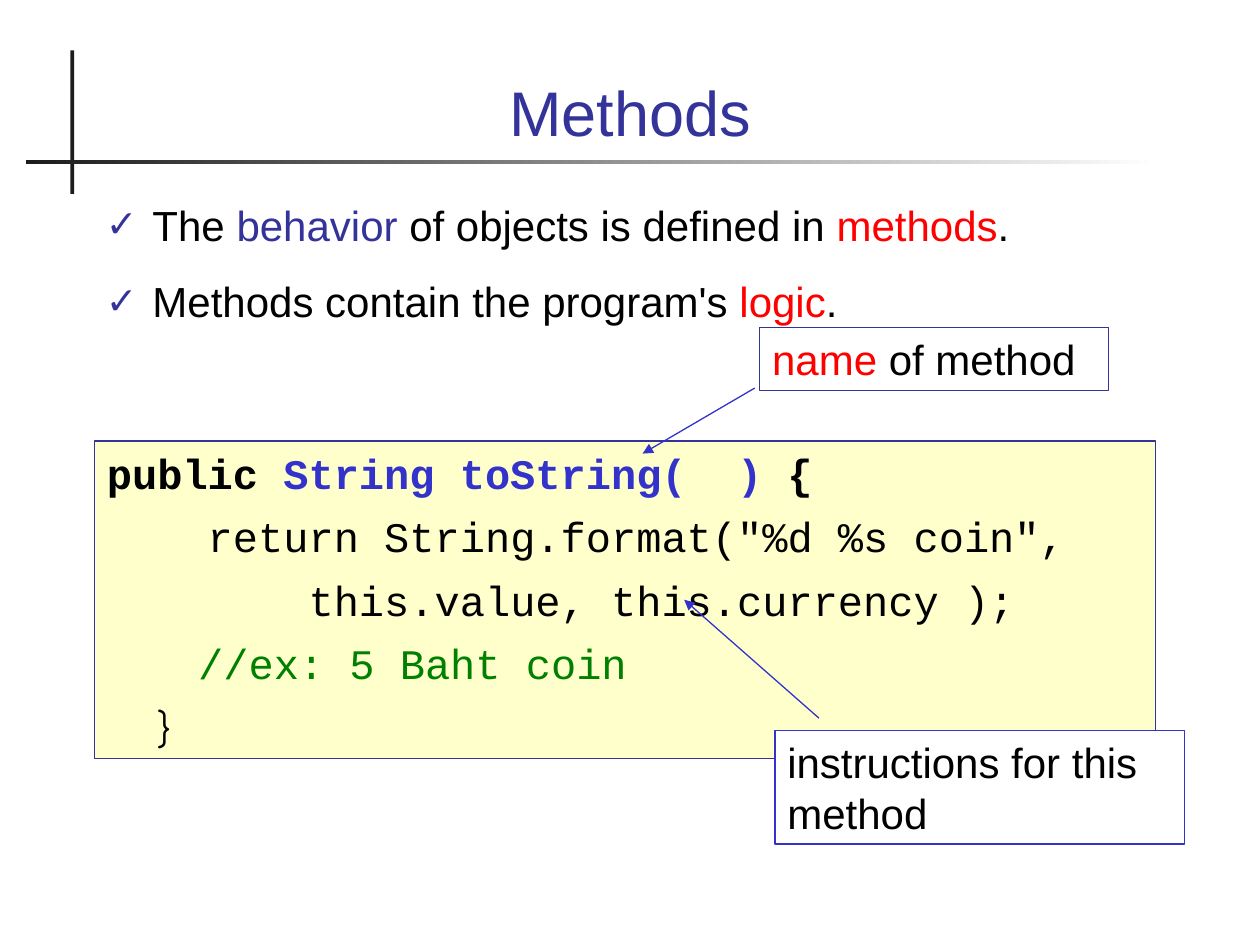
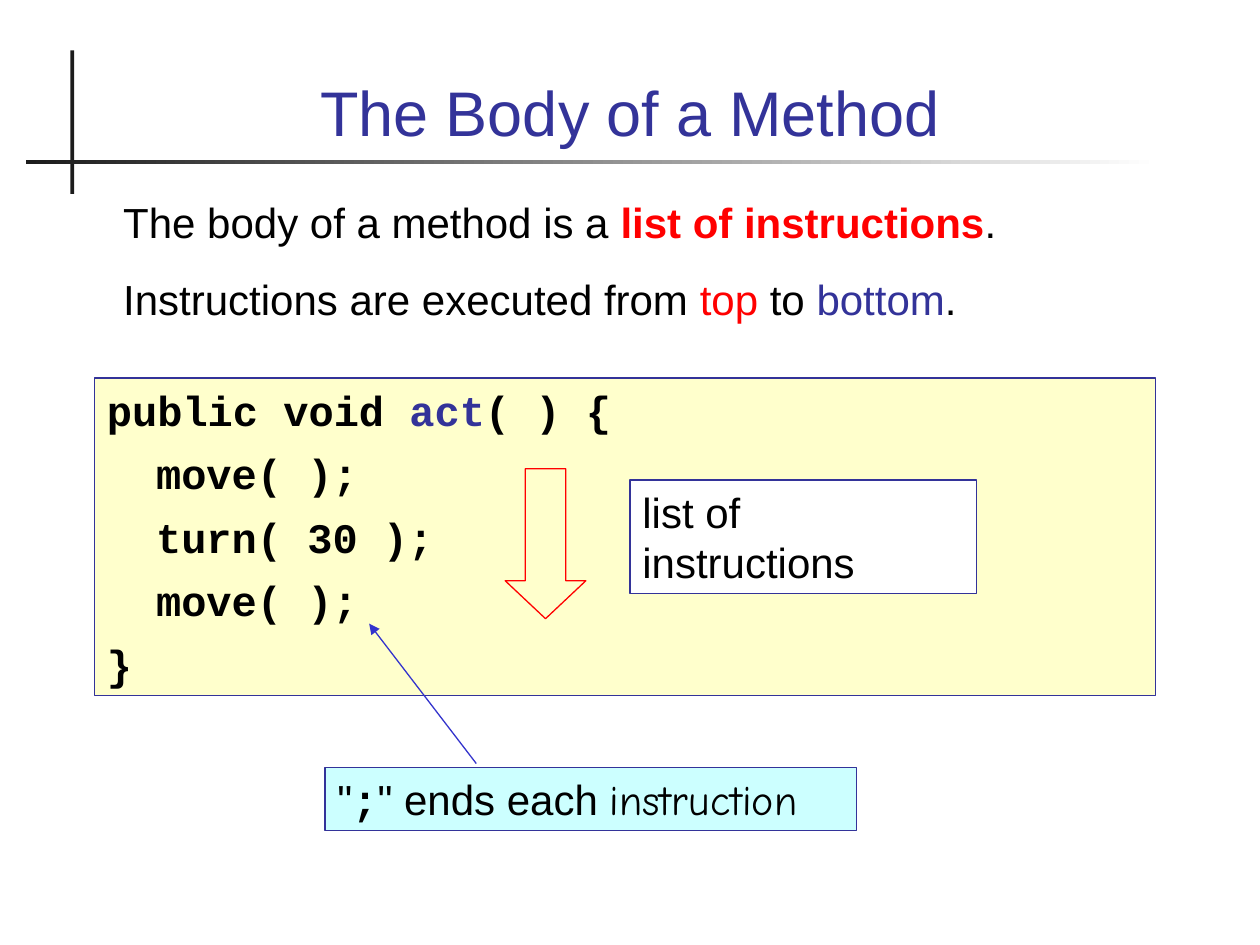
from dataclasses import dataclass
from functools import partial
from typing import Optional

from lxml import etree
from pptx import Presentation
from pptx import util as u
from pptx.dml.color import RGBColor
from pptx.enum import shapes, text
from pptx.oxml.ns import qn

NAVY = RGBColor(0x33, 0x33, 0x99)
BLUE = RGBColor(0x33, 0x33, 0xCC)
RED = RGBColor(0xFF, 0x00, 0x00)
GREEN = RGBColor(0x00, 0x80, 0x00)
BLACK = RGBColor(0x00, 0x00, 0x00)
CHARCOAL = RGBColor(0x1C, 0x1C, 0x1C)
WHITE = RGBColor(0xFF, 0xFF, 0xFF)
CREAM = RGBColor(0xFF, 0xFF, 0xCC)
AQUA = RGBColor(0xCC, 0xFF, 0xFF)

SANS, MONO, COMIC = "Arial", "Courier New", "Comic Neue"
TEXT_SIZE, LINE_HEIGHT, TITLE_SIZE = 24, 28.8, 36
CODE_GAP, PROSE_GAP = 7.5, 15
TAB_STEP, BULLET_INDENT = 0.39, 0.37


@dataclass(frozen=True)
class Run:
    text: str
    color: RGBColor = BLACK
    font: str = SANS
    bold: bool = False


Code = partial(Run, font=MONO)
Bold = partial(Run, font=MONO, bold=True)
Lines = list[list[Run]]


@dataclass(frozen=True)
class Box:
    at: tuple[float, float, float, float]
    lines: Lines
    fill: Optional[RGBColor] = WHITE
    border: Optional[RGBColor] = NAVY
    gap: float = PROSE_GAP


@dataclass(frozen=True)
class Pointer:
    start: tuple[float, float]
    end: tuple[float, float]


def inches(*values: float) -> list[u.Length]:
    return [u.Inches(value) for value in values]


def add_child(parent, tag: str, **attributes):
    return etree.SubElement(parent, qn(tag), attributes)


def place(shape, at: tuple[float, float, float, float]) -> None:
    for side, value in zip(("left", "top", "width", "height"), inches(*at)):
        setattr(shape, side, value)


def write_run(paragraph, run: Run, size: float) -> None:
    part = paragraph.add_run()
    part.text = run.text
    for name, value in {"name": run.font, "size": u.Pt(size), "bold": run.bold}.items():
        setattr(part.font, name, value)
    part.font.color.rgb = run.color


def add_check_mark(paragraph) -> None:
    properties = paragraph._p.get_or_add_pPr()
    indent = u.Inches(BULLET_INDENT)
    properties.set("marL", str(indent))
    properties.set("indent", str(-indent))
    add_child(add_child(properties, "a:buClr"), "a:srgbClr", val=str(NAVY))
    add_child(properties, "a:buSzPct", val="90000")
    add_child(properties, "a:buChar", char="✓")


def add_first_tab(paragraph) -> None:
    tabs = add_child(paragraph._p.get_or_add_pPr(), "a:tabLst")
    add_child(tabs, "a:tab", pos=str(u.Inches(TAB_STEP)), algn="l")


def write_lines(frame, lines: Lines, gap: float, checked: bool = False) -> None:
    settings = {"word_wrap": True, "auto_size": text.MSO_AUTO_SIZE.NONE,
                "vertical_anchor": text.MSO_ANCHOR.TOP}
    for name, value in settings.items():
        setattr(frame, name, value)
    for index, line in enumerate(lines):
        paragraph = frame.add_paragraph() if index else frame.paragraphs[0]
        (add_check_mark if checked else add_first_tab)(paragraph)
        spacing = {"alignment": text.PP_ALIGN.LEFT, "line_spacing": u.Pt(LINE_HEIGHT),
                   "space_before": u.Pt(gap if index else 0)}
        for name, value in spacing.items():
            setattr(paragraph, name, value)
        for run in line:
            write_run(paragraph, run, TEXT_SIZE)


def add_outlined(slide, kind, at, fill: Optional[RGBColor], border: RGBColor):
    shape = slide.shapes.add_shape(kind, *inches(*at))
    shape.shadow.inherit = False
    if fill is None:
        shape.fill.background()
    else:
        shape.fill.solid()
        shape.fill.fore_color.rgb = fill
    shape.line.color.rgb = border
    shape.line.width = u.Pt(0.75)
    return shape


def add_box(slide, box: Box) -> None:
    if box.border is None:
        shape = slide.shapes.add_textbox(*inches(*box.at))
    else:
        shape = add_outlined(slide, shapes.MSO_SHAPE.RECTANGLE, box.at, box.fill, box.border)
    write_lines(shape.text_frame, box.lines, box.gap)


def add_pointer(slide, pointer: Pointer) -> None:
    line = slide.shapes.add_connector(
        shapes.MSO_CONNECTOR.STRAIGHT, *inches(*pointer.start, *pointer.end))
    line.line.color.rgb = BLUE
    line.line.width = u.Pt(0.75)
    add_child(line.line._get_or_add_ln(), "a:tailEnd", type="triangle")
    add_child(line.element.spPr, "a:effectLst")


def add_master_rules(master, slide) -> None:
    """Draw the crossed rules with the slide's tools, then move them to the master."""
    rectangle = shapes.MSO_SHAPE.RECTANGLE
    upright = slide.shapes.add_shape(rectangle, *inches(0.56, 0.4, 0.03, 1.14))
    level = slide.shapes.add_shape(rectangle, *inches(0.21, 1.27, 8.99, 0.03))
    upright.fill.solid()
    upright.fill.fore_color.rgb = CHARCOAL
    level.fill.gradient()
    level.fill.gradient_angle = 180
    for stop, color in zip(level.fill.gradient_stops, (WHITE, CHARCOAL)):
        stop.color.rgb = color
    for rule in (upright, level):
        rule.shadow.inherit = False
        rule.line.fill.background()
        master.shapes.element.append(rule.element)


def add_titled_slide(prs, layout: str, title: str):
    slide = prs.slides.add_slide(prs.slide_layouts.get_by_name(layout))
    heading = slide.shapes.title
    place(heading, (0.67, 0.28, 8.66, 0.95))
    frame = heading.text_frame
    frame.auto_size = text.MSO_AUTO_SIZE.NONE
    frame.vertical_anchor = text.MSO_ANCHOR.BOTTOM
    frame.paragraphs[0].alignment = text.PP_ALIGN.CENTER
    write_run(frame.paragraphs[0], Run(title, NAVY), TITLE_SIZE)
    return slide


def build_methods(prs):
    slide = add_titled_slide(prs, "Title and Content", "Methods")
    behavior = slide.placeholders[1]
    place(behavior, (0.74, 1.53, 8.66, 1.14))
    write_lines(behavior.text_frame, [
        [Run("The "), Run("behavior", NAVY), Run(" of objects is defined in "),
         Run("methods", RED), Run(".")],
        [Run("Methods contain the program's "), Run("logic", RED), Run(".")],
    ], PROSE_GAP, checked=True)
    to_string = [
        [Bold("public "), Bold("String toString(  )", BLUE), Bold(" {")],
        [Code('    return String.format("%d %s coin",')],
        [Code("        this.value, this.currency );")],
        [Run("\t   ", font=COMIC), Code("//ex: 5 Baht coin", GREEN)],
        [Run("\t}", font=COMIC)],
    ]
    for box in (
        Box((0.75, 3.5, 8.42, 2.52), to_string, CREAM, gap=CODE_GAP),
        Box((6.03, 2.6, 2.77, 0.5), [[Run("name", RED), Run(" of method")]], None),
        Box((6.15, 5.8, 3.25, 0.9), [[Run("instructions for this method")]], border=BLUE),
    ):
        add_box(slide, box)
    for pointer in (Pointer((5.99, 3.08), (5.1, 3.6)), Pointer((6.5, 5.7), (5.43, 4.76))):
        add_pointer(slide, pointer)
    return slide


def build_method_body(prs) -> None:
    slide = add_titled_slide(prs, "Title Only", "The Body of a Method")
    act = [
        [Bold("public void "), Bold("act", NAVY), Bold("( ) {")],
        *([Bold(f"\t{call};")] for call in ("move( )", "turn( 30 )", "move( )")),
        [Bold("}")],
    ]
    semicolon = [Run('"'), Bold(";"), Run('" ends each '), Run("instruction", font=COMIC)]
    execution = [
        [Run("The body of a method is a "), Run("list of instructions", RED, bold=True),
         Run(".")],
        [Run("Instructions are executed from "), Run("top", RED), Run(" to "),
         Run("bottom", NAVY), Run(".")],
    ]
    for box in (
        Box((0.75, 3, 8.42, 2.52), act, CREAM, gap=CODE_GAP),
        Box((5, 3.81, 2.75, 0.9), [[Run("list of instructions")]]),
        Box((2.58, 6.09, 4.22, 0.5), [semicolon], AQUA),
        Box((0.88, 1.51, 8.24, 1.11), execution, border=None),
    ):
        add_box(slide, box)
    order = add_outlined(slide, shapes.MSO_SHAPE.DOWN_ARROW, (4.01, 3.72, 0.64, 1.19), None, RED)
    order.adjustments[0], order.adjustments[1] = 0.5, 0.47
    add_pointer(slide, Pointer((3.78, 6.06), (2.93, 4.95)))


def main() -> None:
    prs = Presentation()
    prs.slide_width, prs.slide_height = inches(10, 7.5)
    methods = build_methods(prs)
    add_master_rules(prs.slide_master, methods)
    build_method_body(prs)
    prs.save("out.pptx")


if __name__ == "__main__":
    main()
